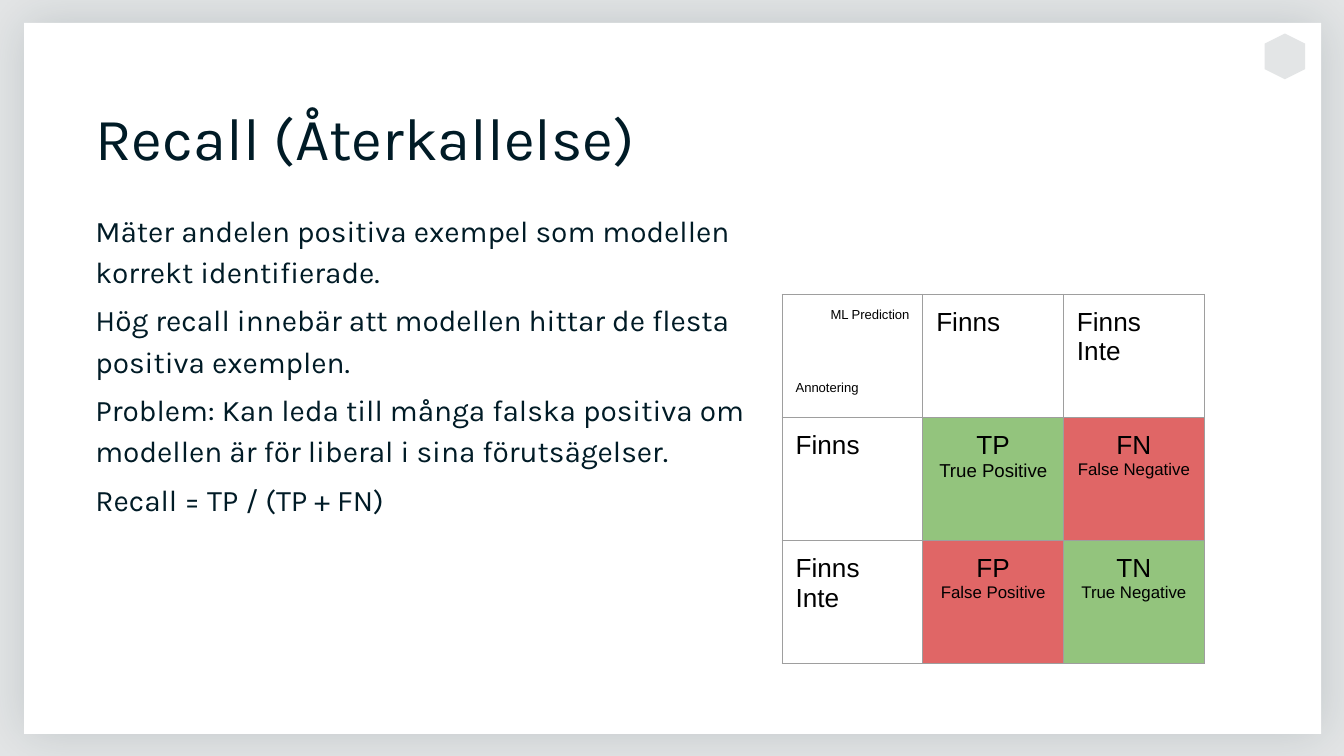
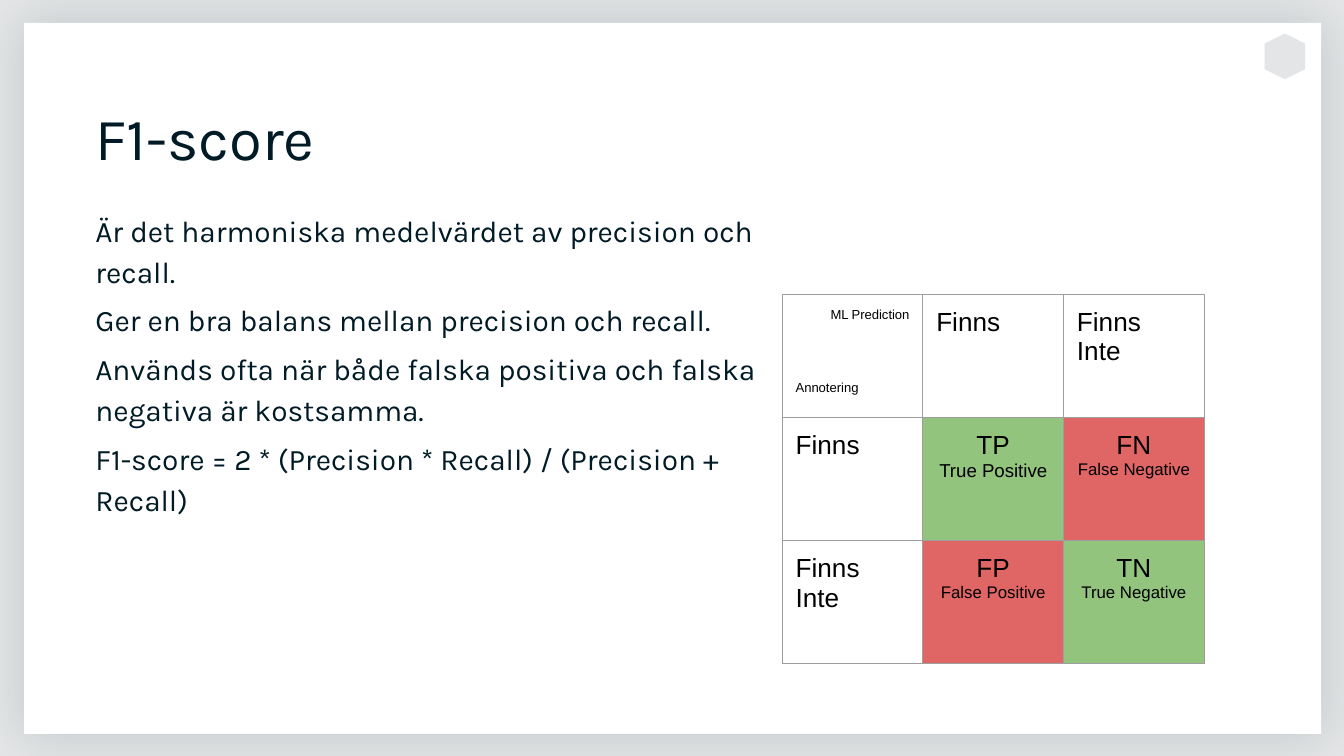
from dataclasses import dataclass
from typing import NamedTuple

from pptx import Presentation
from pptx import util as u
from pptx.dml.color import RGBColor
from pptx.enum import shapes, text
from pptx.oxml import parse_xml
from pptx.oxml.ns import nsdecls, qn

# The grid: 100 columns by 56.25 rows of square cells
CELL = u.Inches(0.1)
COLUMNS, ROWS = 100, 56.25

INK, BLACK, WHITE = "001B26", "000000", "FFFFFF"
BACKDROP, BORDER = "E3E5E6", "9E9E9E"
GREEN, RED = "93C47D", "E06666"
LEFT, CENTER, RIGHT = text.PP_ALIGN.LEFT, text.PP_ALIGN.CENTER, text.PP_ALIGN.RIGHT


class Area(NamedTuple):
    """A place on the grid, in columns and rows."""
    left: float
    top: float
    width: float
    height: float

    def lengths(self) -> list[int]:
        return [round(value * CELL) for value in self]


@dataclass
class Line:
    """One paragraph with a single format."""
    words: str
    size: float = 14
    align: int = LEFT
    before: float = 0
    after: float = 0
    spacing: float = 1.0
    font: str = "Arial"
    color: str = BLACK


@dataclass
class TableCell:
    lines: list[Line]
    fill: str | None = None


@dataclass
class Lesson:
    title: str
    points: list[str]


CARD = Area(1.8, 1.7, 96.5, 52.9)
EMBLEM = Area(93.9, 2.7, 3.4, 3)
TITLE = Area(7.1, 6.3, 64.4, 6.5)
BODY = Area(7.1, 15.4, 49.5, 34.6)
MATRIX = Area(58.2, 21.9, 31.4, 27.5)


def outcome(short: str, full: str, fill: str, size: float = 9) -> TableCell:
    return TableCell([Line(short, align=CENTER), Line(full, size, CENTER)], fill)


def heading(words: str) -> TableCell:
    return TableCell([Line(words)])


CONFUSION = [
    [TableCell([Line("ML Prediction", 7, RIGHT), Line("Annotering", 7, before=31)]),
     heading("Finns"), heading("Finns Inte")],
    [heading("Finns"), outcome("TP", "True Positive", GREEN, 10),
     outcome("FN", "False Negative", RED)],
    [heading("Finns Inte"), outcome("FP", "False Positive", RED),
     outcome("TN", "True Negative", GREEN)],
]

LESSONS = [
    Lesson("Recall (Återkallelse)", [
        "Mäter andelen positiva exempel som modellen korrekt identifierade.",
        "Hög recall innebär att modellen hittar de flesta positiva exemplen.",
        "Problem: Kan leda till många falska positiva om modellen är för liberal "
        "i sina förutsägelser.",
        "Recall = TP / (TP + FN)",
    ]),
    Lesson("F1-score", [
        "Är det harmoniska medelvärdet av precision och recall.",
        "Ger en bra balans mellan precision och recall.",
        "Används ofta när både falska positiva och falska negativa är kostsamma.",
        "F1-score = 2 * (Precision * Recall) / (Precision + Recall)",
    ]),
]


def rgb(value: str) -> RGBColor:
    return RGBColor.from_string(value)


def apply(target, values: dict) -> None:
    """Set each named attribute of the target."""
    for name, value in values.items():
        setattr(target, name, value)


def paint(fill, color: str | None) -> None:
    if color is None:
        fill.background()
    else:
        fill.solid()
        fill.fore_color.rgb = rgb(color)


def write(frame, lines: list[Line], inset: float = 0,
          anchor: int = text.MSO_ANCHOR.TOP) -> None:
    """Fill a text frame with lines; the inset is in grid cells."""
    sides = ("left", "top", "right", "bottom")
    apply(frame, {f"margin_{side}": round(inset * CELL) for side in sides})
    apply(frame, {"word_wrap": True, "vertical_anchor": anchor})
    for index, line in enumerate(lines):
        para = frame.add_paragraph() if index else frame.paragraphs[0]
        apply(para, {"alignment": line.align, "line_spacing": line.spacing,
                     "space_before": u.Pt(line.before), "space_after": u.Pt(line.after)})
        span = para.add_run()
        span.text = line.words
        apply(span.font, {"name": line.font, "size": u.Pt(line.size), "bold": False})
        span.font.color.rgb = rgb(line.color)


def add_plain(page, kind: int, area: Area, color: str):
    shape = page.shapes.add_shape(kind, *area.lengths())
    shape.shadow.inherit = False
    paint(shape.fill, color)
    shape.line.fill.background()
    return shape


def add_shadow(shape) -> None:
    effects = shape.element.spPr.find(qn("a:effectLst"))
    effects.append(parse_xml(
        f'<a:outerShdw {nsdecls("a")} blurRad="{u.Pt(27)}" dist="{u.Pt(0.8)}" dir="0" '
        f'algn="ctr" rotWithShape="0"><a:srgbClr val="{INK}"><a:alpha val="15000"/>'
        '</a:srgbClr></a:outerShdw>'))


def add_frame(page) -> None:
    """Draw the backdrop, the white card and the corner emblem."""
    paint(page.background.fill, BACKDROP)
    add_shadow(add_plain(page, shapes.MSO_SHAPE.RECTANGLE, CARD, WHITE))
    add_plain(page, shapes.MSO_SHAPE.HEXAGON, EMBLEM, BACKDROP).rotation = 90


def add_title(page, words: str) -> None:
    title = page.shapes.title
    title.element.getparent().append(title.element)  # lift it above the card
    apply(title, dict(zip(("left", "top", "width", "height"), TITLE.lengths())))
    title.text_frame.auto_size = text.MSO_AUTO_SIZE.NONE
    line = Line(words, 32, spacing=1.15, font="Karla", color=INK)
    write(title.text_frame, [line], anchor=text.MSO_ANCHOR.BOTTOM)


def add_points(page, points: list[str]) -> None:
    box = page.shapes.add_textbox(*BODY.lengths())
    write(box.text_frame, [
        Line(point, 16, before=4 if index else 0, spacing=1.15, font="Karla", color=INK)
        for index, point in enumerate(points)])


def add_borders(cell) -> None:
    properties = cell._tc.get_or_add_tcPr()
    for side in "LRTB":
        properties.append(parse_xml(
            f'<a:ln{side} {nsdecls("a")} w="{u.Pt(0.75)}"><a:solidFill>'
            f'<a:srgbClr val="{BORDER}"/></a:solidFill></a:ln{side}>'))


def add_matrix(page, rows: list[list[TableCell]]) -> None:
    table = page.shapes.add_table(len(rows), len(rows[0]), *MATRIX.lengths()).table
    apply(table, {"first_row": False, "horz_banding": False})
    for row_index, row in enumerate(rows):
        for column_index, content in enumerate(row):
            cell = table.cell(row_index, column_index)
            add_borders(cell)
            paint(cell.fill, content.fill)
            write(cell.text_frame, content.lines)
            apply(cell, {f"margin_{side}": CELL
                         for side in ("left", "top", "right", "bottom")})


def main() -> None:
    deck = Presentation()
    apply(deck, {"slide_width": COLUMNS * CELL, "slide_height": round(ROWS * CELL)})
    title_only = deck.slide_layouts[5]
    for lesson in LESSONS:
        page = deck.slides.add_slide(title_only)
        add_frame(page)
        add_title(page, lesson.title)
        add_points(page, lesson.points)
        add_matrix(page, CONFUSION)
    deck.save("out.pptx")


if __name__ == "__main__":
    main()
